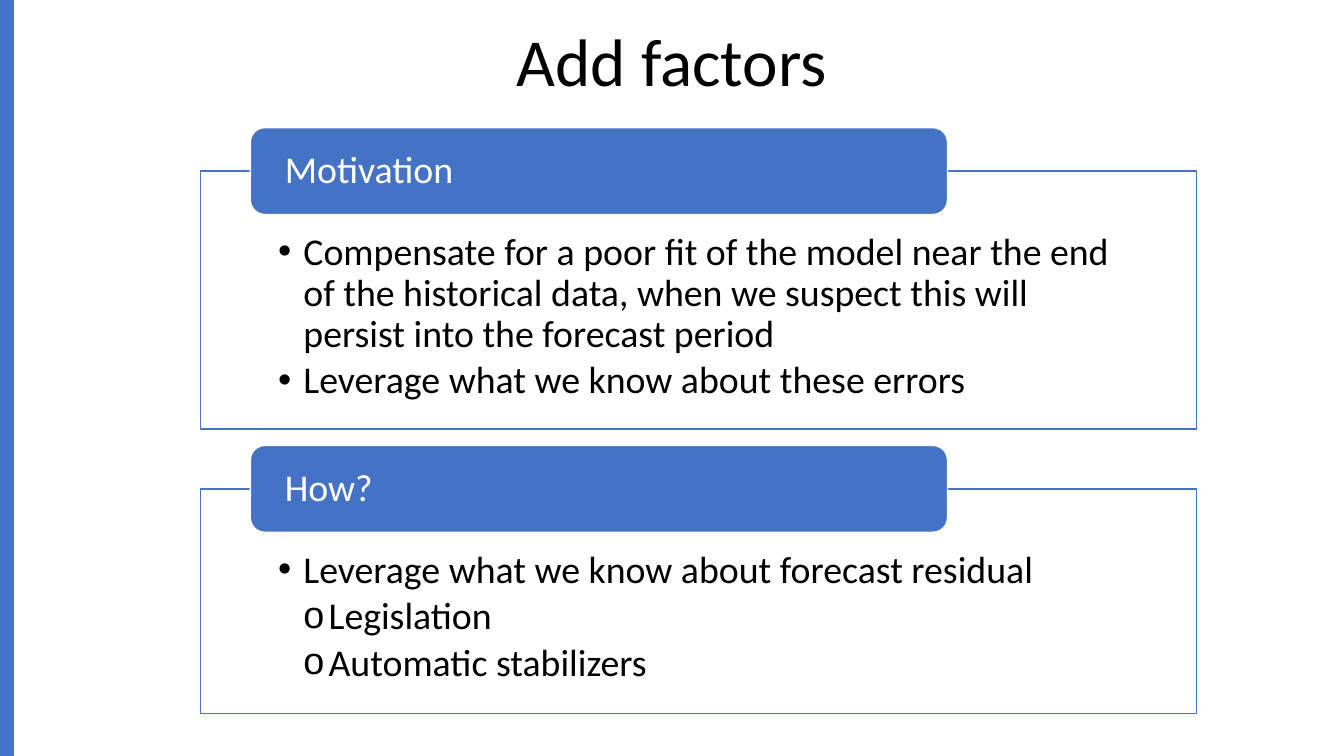
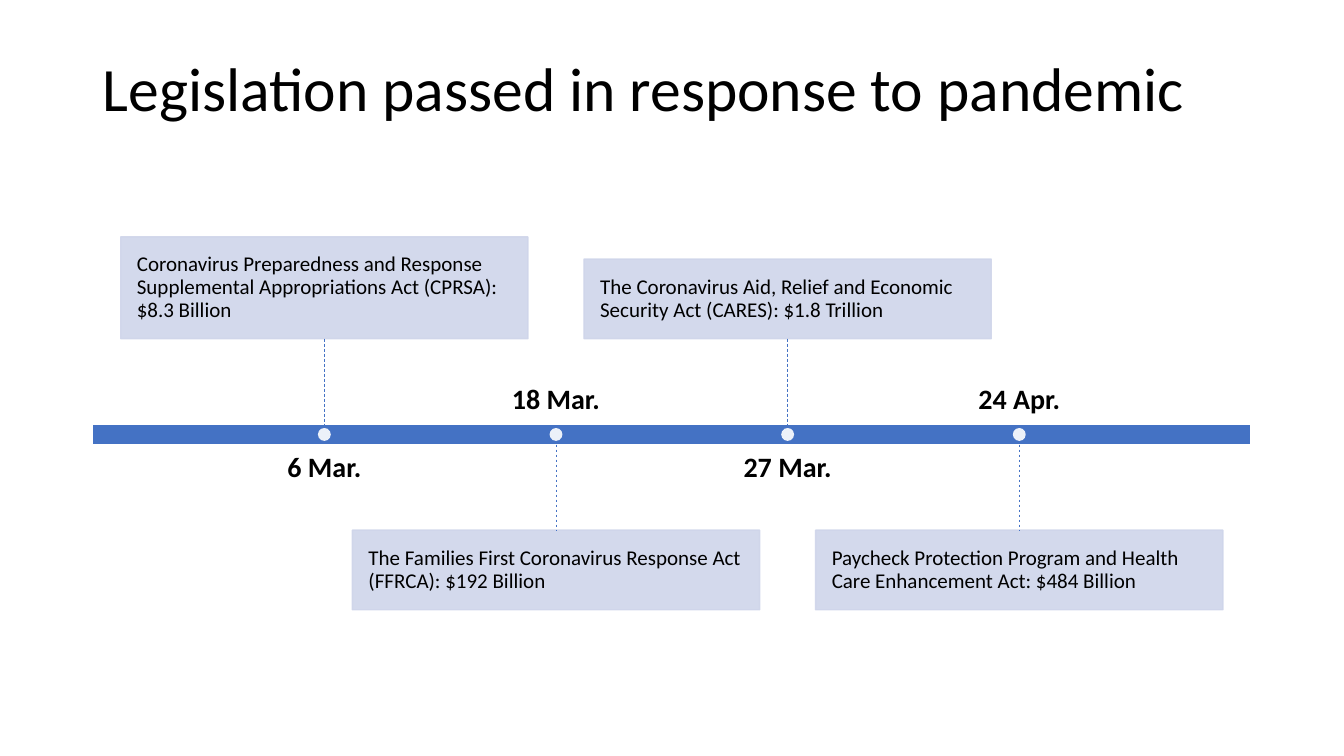
from dataclasses import dataclass

import lxml.etree
import pptx
import pptx.dml.color
import pptx.enum.dml
import pptx.enum.shapes
import pptx.enum.text
import pptx.oxml.ns
import pptx.util

Pt = pptx.util.Pt
Align = pptx.enum.text.PP_ALIGN
Anchor = pptx.enum.text.MSO_ANCHOR
Shape = pptx.enum.shapes.MSO_SHAPE

SLIDE_WIDTH, SLIDE_HEIGHT = 960, 540
FONT = "Calibri"
BLUE, PALE, WHITE, BLACK = "4472C4", "CFD5EA", "FFFFFF", "000000"


@dataclass(frozen=True)
class Box:
    """A rectangle in points."""
    left: float
    top: float
    width: float
    height: float

    def lengths(self) -> list:
        """Return the four values as lengths."""
        return [Pt(value) for value in (self.left, self.top, self.width, self.height)]


@dataclass(frozen=True)
class Style:
    """How the text of a shape looks."""
    size: float
    colour: str = BLACK
    bold: bool = False
    align: Align = Align.LEFT
    anchor: Anchor = Anchor.MIDDLE
    insets: tuple = (0, 0, 0, 0)
    space_after: float = 0


@dataclass(frozen=True)
class Item:
    """One bulleted line; level 0 is the outermost."""
    text: str
    level: int = 0


@dataclass(frozen=True)
class Panel:
    """A framed list with a heading tab on its upper edge."""
    heading: str
    top: float
    height: float
    items: tuple


@dataclass(frozen=True)
class Event:
    """A dated act on the timeline."""
    date: str
    text: str
    box_height: float = 56.88


TITLE_INSETS = (7.2, 3.6, 7.2, 3.6)
HEADING = Style(27, WHITE, insets=(21.6, 0, 21.6, 0))
LIST = Style(27, anchor=Anchor.TOP, insets=(55.44, 43.92, 55.44, 15.12), space_after=4.05)
ACT = Style(15, insets=(11.52, 11.52, 11.52, 11.52))
BULLETS = ("•", "o")

PANELS = (
    Panel("Motivation", 122.2, 184.3, (
        Item("Compensate for a poor fit of the model near the end of the historical data, "
             "when we suspect this will persist into the forecast period"),
        Item("Leverage what we know about these errors"))),
    Panel("How?", 349.2, 160.6, (
        Item("Leverage what we know about forecast residual"),
        Item("Legislation", 1),
        Item("Automatic stabilizers", 1))),
)

EVENTS = (
    Event("6 Mar.", "Coronavirus Preparedness and Response Supplemental Appropriations Act "
          "(CPRSA): $8.3 Billion", 72.72),
    Event("18 Mar.", "The Families First Coronavirus Response Act (FFRCA): $192 Billion"),
    Event("27 Mar.", "The Coronavirus Aid, Relief and Economic Security Act (CARES): "
          "$1.8 Trillion"),
    Event("24 Apr.", "Paycheck Protection Program and Health Care Enhancement Act: "
          "$484 Billion"),
)


def set_colour(target, colour: str, opacity: int = 100) -> None:
    """Give a fill (or a line's fill) a solid colour and an opacity in percent."""
    target.solid()
    target.fore_color.rgb = pptx.dml.color.RGBColor.from_string(colour)
    if opacity < 100:
        for element in target._xPr.iter(pptx.oxml.ns.qn("a:srgbClr")):
            if element.getparent().getparent() is target._xPr:
                alpha = lxml.etree.SubElement(element, pptx.oxml.ns.qn("a:alpha"))
                alpha.set("val", str(opacity * 1000))


def set_bullet(paragraph, level: int) -> None:
    """Give a paragraph the hanging bullet of its level."""
    paragraph.level = level
    properties = paragraph._p.get_or_add_pPr()
    properties.set("marL", str(Pt(18 * (level + 1))))
    properties.set("indent", str(Pt(-18)))
    bullet = lxml.etree.SubElement(properties, pptx.oxml.ns.qn("a:buChar"))
    bullet.set("char", BULLETS[level])


def format_paragraph(paragraph, style: Style) -> None:
    """Apply spacing, alignment and font to a paragraph."""
    paragraph.alignment = style.align
    paragraph.line_spacing = 0.9
    paragraph.space_before = Pt(0)
    paragraph.space_after = Pt(style.space_after)
    font = paragraph.font
    font.name, font.size, font.bold = FONT, Pt(style.size), style.bold
    set_colour(font.fill, style.colour)


def format_frame(shape, style: Style):
    """Set wrapping, anchor and insets, and return the text frame."""
    frame = shape.text_frame
    frame.word_wrap = True
    frame.auto_size = pptx.enum.text.MSO_AUTO_SIZE.NONE
    frame.vertical_anchor = style.anchor
    (frame.margin_left, frame.margin_top,
     frame.margin_right, frame.margin_bottom) = map(Pt, style.insets)
    return frame


def write_text(shape, text: str, style: Style) -> None:
    """Write one formatted paragraph into a shape."""
    paragraph = format_frame(shape, style).paragraphs[0]
    paragraph.text = text
    format_paragraph(paragraph, style)


def write_list(shape, items: tuple, style: Style) -> None:
    """Write bulleted paragraphs into a shape."""
    frame = format_frame(shape, style)
    for index, item in enumerate(items):
        paragraph = frame.add_paragraph() if index else frame.paragraphs[0]
        paragraph.text = item.text
        set_bullet(paragraph, item.level)
        format_paragraph(paragraph, style)


def place(shape, box: Box) -> None:
    """Move and size a placeholder."""
    shape.left, shape.top, shape.width, shape.height = box.lengths()


def add_title(slide, text: str, box: Box, size: float, align: Align) -> None:
    """Fill the title placeholder."""
    place(slide.shapes.title, box)
    write_text(slide.shapes.title, text, Style(size, align=align, insets=TITLE_INSETS))


def add_block(slide, kind: Shape, box: Box, fill: str, line: str = "", opacity: int = 100):
    """Add a filled shape, outlined when a line colour is given."""
    shape = slide.shapes.add_shape(kind, *box.lengths())
    shape.shadow.inherit = False
    set_colour(shape.fill, fill, opacity)
    if line:
        shape.line.width = Pt(1)
        set_colour(shape.line.fill, line, opacity)
    else:
        shape.line.fill.background()
    return shape


def add_stem(slide, x: float, start: float, end: float) -> None:
    """Add a thin dashed vertical line."""
    stem = slide.shapes.add_connector(
        pptx.enum.shapes.MSO_CONNECTOR.STRAIGHT, Pt(x), Pt(start), Pt(x), Pt(end))
    stem.line.width = Pt(0.5)
    set_colour(stem.line.fill, BLUE)
    stem.line.dash_style = pptx.enum.dml.MSO_LINE.DASH
    lxml.etree.SubElement(stem._element.spPr, pptx.oxml.ns.qn("a:effectLst"))


def add_panel(slide, body, panel: Panel) -> None:
    """Turn a body placeholder into a framed list and add its heading tab."""
    place(body, Box(143.28, panel.top, 711.36, panel.height))
    set_colour(body.fill, WHITE)
    body.line.width = Pt(1)
    set_colour(body.line.fill, BLUE)
    write_list(body, panel.items, LIST)
    tab_height = 62
    tab = add_block(slide, Shape.ROUNDED_RECTANGLE,
                    Box(178.85, panel.top - tab_height / 2, 498, tab_height), BLUE, WHITE)
    write_text(tab, panel.heading, HEADING)


def add_event(slide, event: Event, x: float, axis: float, above: bool) -> None:
    """Add an act's box and stem on one side of the axis and its date on the other."""
    box_width, date_width, date_height = 290.88, 264.96, 40.8
    box_gap, date_gap, bar_half = 68.4, 13.5, 7.2
    if above:
        box_top, date_top = axis - box_gap - event.box_height, axis + date_gap
        stem_start, stem_end = axis - box_gap, axis - bar_half
    else:
        box_top, date_top = axis + box_gap, axis - date_gap - date_height
        stem_start, stem_end = axis + bar_half, axis + box_gap
    box = add_block(slide, Shape.RECTANGLE,
                    Box(x - box_width / 2, box_top, box_width, event.box_height),
                    PALE, PALE, 90)
    write_text(box, event.text, ACT)
    add_stem(slide, x, stem_start, stem_end)
    date = slide.shapes.add_textbox(
        *Box(x - date_width / 2, date_top, date_width, date_height).lengths())
    write_text(date, event.date, Style(20, bold=True, align=Align.CENTER,
                                       anchor=Anchor.TOP if above else Anchor.BOTTOM))
    dot = 9.2
    add_block(slide, Shape.OVAL, Box(x - dot / 2, axis - dot / 2, dot, dot), WHITE, opacity=90)


def build_factors(presentation) -> None:
    """Build the slide with the two list panels."""
    slide = presentation.slides.add_slide(presentation.slide_layouts.get_by_name("Two Content"))
    add_title(slide, "Add factors", Box(105.12, 7.92, 749.52, 76.32), 48, Align.CENTER)
    add_block(slide, Shape.RECTANGLE, Box(0, 0, 10, SLIDE_HEIGHT), BLUE)
    for index, panel in enumerate(PANELS, start=1):
        add_panel(slide, slide.placeholders[index], panel)


def build_timeline(presentation) -> None:
    """Build the slide with the timeline of acts."""
    slide = presentation.slides.add_slide(presentation.slide_layouts.get_by_name("Title Only"))
    left, width, axis = 66.24, 827.28, 310.32
    add_title(slide, "Legislation passed in response to pandemic",
              Box(left, 25.2, width, 79.92), 44, Align.LEFT)
    add_block(slide, Shape.RECTANGLE, Box(left, axis - 7.2, width, 14.4), BLUE, WHITE)
    step = width / (len(EVENTS) + 1)
    for index, event in enumerate(EVENTS):
        add_event(slide, event, left + step * (index + 1), axis, above=index % 2 == 0)


def main() -> None:
    """Build and save the presentation."""
    presentation = pptx.Presentation()
    presentation.slide_width, presentation.slide_height = Pt(SLIDE_WIDTH), Pt(SLIDE_HEIGHT)
    build_factors(presentation)
    build_timeline(presentation)
    presentation.save("out.pptx")


main()
